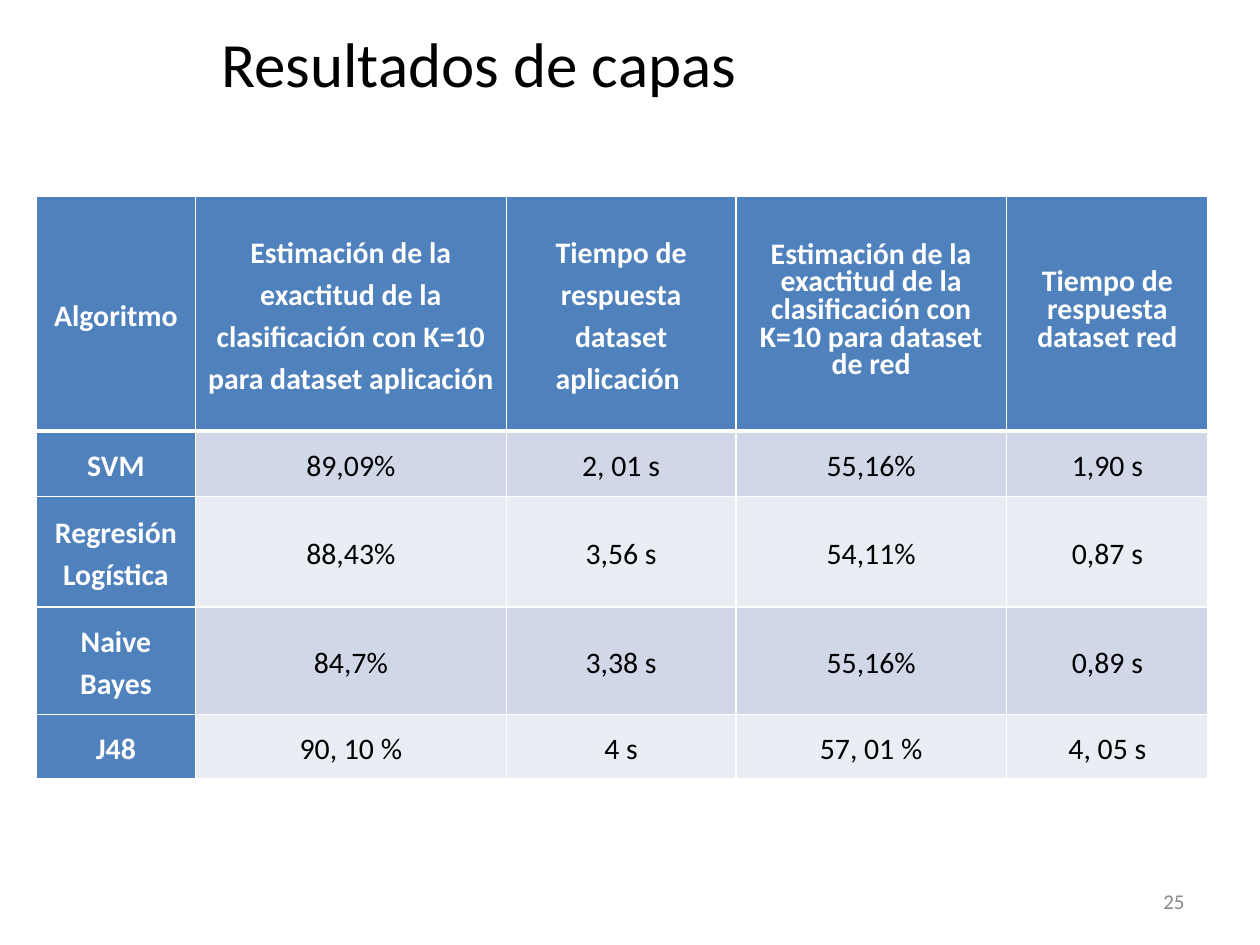
from lxml import etree
from pptx import Presentation
from pptx.dml.color import RGBColor
from pptx.enum.text import MSO_ANCHOR, PP_ALIGN
from pptx.oxml.ns import qn
from pptx.util import Inches, Pt

MID = MSO_ANCHOR.MIDDLE
CENTER, RIGHT = PP_ALIGN.CENTER, PP_ALIGN.RIGHT
FONT = "Calibri"
WIDE, HIGH = Inches(10), Inches(7.5)
HUES = {"head": "4F81BD", "odd": "D0D8E8", "even": "E9EDF4",
        "white": "FFFFFF", "black": "000000", "gray": "898989"}

COLS = [1.26, 2.47, 1.82, 2.15, 1.6]
ROWS = [1.86, 0.52, 0.88, 0.85, 0.51]
DATA = [
    ["Algoritmo",
     "Estimación de la exactitud de la clasificación con K=10 para dataset aplicación",
     "Tiempo de respuesta dataset aplicación ",
     "Estimación de la exactitud de la clasificación con K=10 para dataset de red",
     "Tiempo de respuesta dataset red"],
    ["SVM", "89,09%", "2, 01 s", "55,16%", "1,90 s"],
    ["Regresión Logística", "88,43%", "3,56 s", "54,11%", "0,87 s"],
    ["Naive Bayes", "84,7%", "3,38 s", "55,16%", "0,89 s"],
    ["J48", "90, 10 %", "4 s", "57, 01 %", "4, 05 s"],
]


def color(name):
    return RGBColor.from_string(HUES[name])


def style(para, size, hue, align, bold=False):
    para.alignment = align
    font = para.font
    font.name, font.size, font.bold = FONT, Pt(size), bold
    font.color.rgb = color(hue)


def label(slide, box, text, size, hue, align):
    frame = slide.shapes.add_textbox(*box).text_frame
    frame.word_wrap = True
    frame.vertical_anchor = MID
    frame.text = text
    style(frame.paragraphs[0], size, hue, align)


def border(cell, widths):
    props = cell._tc.get_or_add_tcPr()
    for spot, (side, width) in enumerate(widths.items()):
        line = etree.Element(qn("a:ln" + side), w=str(Pt(width)))
        fill = etree.SubElement(line, qn("a:solidFill"))
        etree.SubElement(fill, qn("a:srgbClr"), val=HUES["white"])
        props.insert(spot, line)


def fill_cell(cell, row, col):
    head = row == 0 or col == 0
    cell.text = DATA[row][col]
    cell.vertical_anchor = MID
    cell.margin_left = cell.margin_right = Inches(0.09)
    cell.margin_top = cell.margin_bottom = 0
    cell.fill.solid()
    cell.fill.fore_color.rgb = color("head" if head else "odd" if row % 2 else "even")
    para = cell.text_frame.paragraphs[0]
    style(para, 17, "white" if head else "black", CENTER, head)
    para.line_spacing = Pt(15.8) if row == 0 and col > 2 else 1.15
    para.space_before = para.space_after = Pt(6)
    border(cell, {"L": 1, "R": 1, "T": 3 if row == 1 else 1, "B": 3 if row == 0 else 1})


def results(slide, box):
    left, top, width, height = box
    grid = slide.shapes.add_table(len(ROWS), len(COLS), left, top, width, height).table
    for part, share in zip(grid.columns, COLS):
        part.width = int(width * share / sum(COLS))
    for part, share in zip(grid.rows, ROWS):
        part.height = int(height * share / sum(ROWS))
    for row, line in enumerate(grid.rows):
        for col, cell in enumerate(line.cells):
            fill_cell(cell, row, col)


def main():
    deck = Presentation()
    deck.slide_width, deck.slide_height = WIDE, HIGH
    slide = deck.slides.add_slide(deck.slide_layouts[6])
    label(slide, (0, 0, int(WIDE * 0.76), Inches(0.99)),
          "Resultados de capas", 36, "black", CENTER)
    results(slide, (Inches(0.29), Inches(1.56), Inches(sum(COLS)), Inches(sum(ROWS))))
    label(slide, (Inches(7.17), Inches(6.95), Inches(2.33), Inches(0.4)),
          "25", 12, "gray", RIGHT)
    deck.save("out.pptx")


if __name__ == "__main__":
    main()
